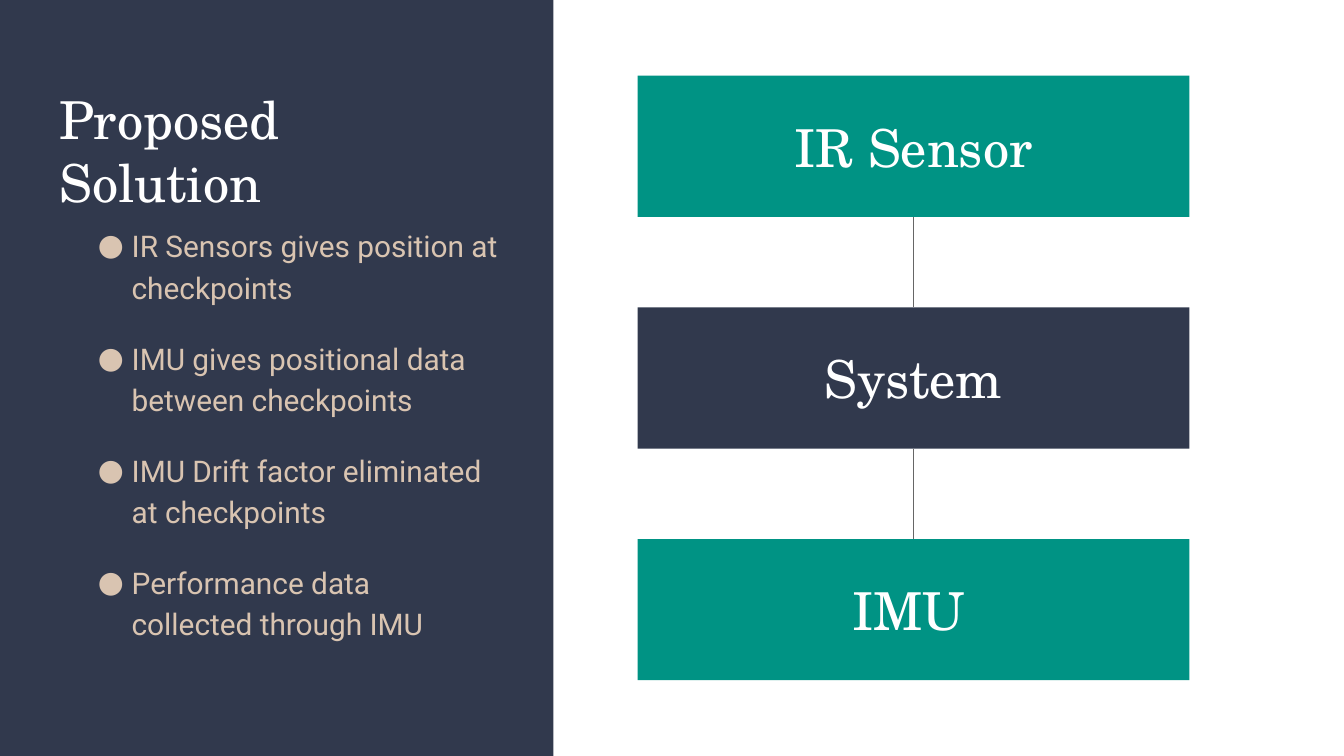
from dataclasses import dataclass

from lxml import etree
from pptx import Presentation
from pptx.dml.color import RGBColor
from pptx.enum.shapes import MSO_CONNECTOR, MSO_SHAPE
from pptx.enum.text import MSO_ANCHOR, PP_ALIGN
from pptx.oxml.ns import qn
from pptx.util import Cm, Pt

RECTANGLE = MSO_SHAPE.RECTANGLE
STRAIGHT = MSO_CONNECTOR.STRAIGHT
TOP, MIDDLE = MSO_ANCHOR.TOP, MSO_ANCHOR.MIDDLE
LEFT, CENTER = PP_ALIGN.LEFT, PP_ALIGN.CENTER


@dataclass(frozen=True)
class Theme:
    navy: str = "31394D"
    teal: str = "009384"
    sand: str = "D9C4B1"
    white: str = "FFFFFF"
    gray: str = "666666"
    heading_font: str = "TeX Gyre Schola"
    body_font: str = "Roboto"
    heading_size: int = 28
    body_size: int = 16
    line_width: float = 0.75
    inset: float = 0.25


class SlideBuilder:
    def __init__(self, slide, theme):
        self.slide = slide
        self.theme = theme

    def rectangle(self, left, top, width, height, color):
        box = self.slide.shapes.add_shape(
            RECTANGLE, Cm(left), Cm(top), Cm(width), Cm(height))
        box.shadow.inherit = False
        box.fill.solid()
        box.fill.fore_color.rgb = RGBColor.from_string(color)
        box.line.fill.background()
        return box

    def frame(self, box, anchor):
        frame = box.text_frame
        frame.word_wrap = True
        frame.vertical_anchor = anchor
        inset = Cm(self.theme.inset)
        frame.margin_left = frame.margin_right = inset
        frame.margin_top = frame.margin_bottom = inset
        return frame

    def text_box(self, left, top, width, height):
        box = self.slide.shapes.add_textbox(
            Cm(left), Cm(top), Cm(width), Cm(height))
        return self.frame(box, TOP)

    def run(self, para, text, font, size, color):
        span = para.add_run()
        span.text = text
        span.font.name = font
        span.font.size = Pt(size)
        span.font.color.rgb = RGBColor.from_string(color)

    def heading(self, para, text):
        theme = self.theme
        self.run(para, text, theme.heading_font, theme.heading_size, theme.white)

    def indent(self, para, margin, first_line):
        properties = para._p.get_or_add_pPr()
        properties.set("marL", str(Cm(margin)))
        properties.set("indent", str(Cm(first_line)))
        return properties

    def title(self, text, left, top, width, height):
        self.heading(self.text_box(left, top, width, height).paragraphs[0], text)

    def bullets(self, items, left, top, width, height):
        theme = self.theme
        frame = self.text_box(left, top, width, height)
        for index, item in enumerate(items):
            para = frame.add_paragraph() if index else frame.paragraphs[0]
            para.line_spacing = 1.15
            para.space_after = Pt(16)
            properties = self.indent(para, 1.27, -0.64)
            bullet_color = etree.SubElement(properties, qn("a:buClr"))
            etree.SubElement(bullet_color, qn("a:srgbClr"), val=theme.sand)
            etree.SubElement(properties, qn("a:buFont"), typeface=theme.body_font)
            etree.SubElement(properties, qn("a:buChar"), char="●")
            self.run(para, item, theme.body_font, theme.body_size, theme.sand)

    def block(self, text, left, top, width, height, color, indent=None):
        box = self.rectangle(left, top, width, height, color)
        para = self.frame(box, MIDDLE).paragraphs[0]
        para.alignment = LEFT if indent else CENTER
        if indent:
            self.indent(para, *indent)
        self.heading(para, text)

    def line(self, x, top, bottom):
        line = self.slide.shapes.add_connector(
            STRAIGHT, Cm(x), Cm(top), Cm(x), Cm(bottom))
        line.line.color.rgb = RGBColor.from_string(self.theme.gray)
        line.line.width = Pt(self.theme.line_width)
        etree.SubElement(line._element.spPr, qn("a:effectLst"))


def main():
    theme = Theme()
    deck = Presentation()
    deck.slide_width, deck.slide_height = Cm(25.4), Cm(14.29)
    page = SlideBuilder(deck.slides.add_slide(deck.slide_layouts[6]), theme)

    # Left panel with title and bullets
    page.rectangle(0, 0, 10.46, 14.29, theme.navy)
    page.title("Proposed Solution", 0.87, 1.4, 8.6, 5.08)
    page.bullets([
        "IR Sensors gives position at checkpoints",
        "IMU gives positional data between checkpoints",
        "IMU Drift factor eliminated at checkpoints",
        "Performance data collected through IMU",
    ], 0.97, 3.96, 8.69, 6.38)

    # Column of blocks joined by lines
    left, first_top, width, height, pitch = 12.05, 1.43, 10.43, 2.67, 4.38
    blocks = [
        ("IR Sensor", theme.teal, None),
        ("System", theme.navy, None),
        ("IMU", theme.teal, (2.54, 1.27)),
    ]
    for index, (text, color, indent) in enumerate(blocks):
        top = first_top + index * pitch
        if index:
            page.line(left + width / 2, top - pitch + height, top)
        page.block(text, left, top, width, height, color, indent)

    deck.save("out.pptx")


if __name__ == "__main__":
    main()
